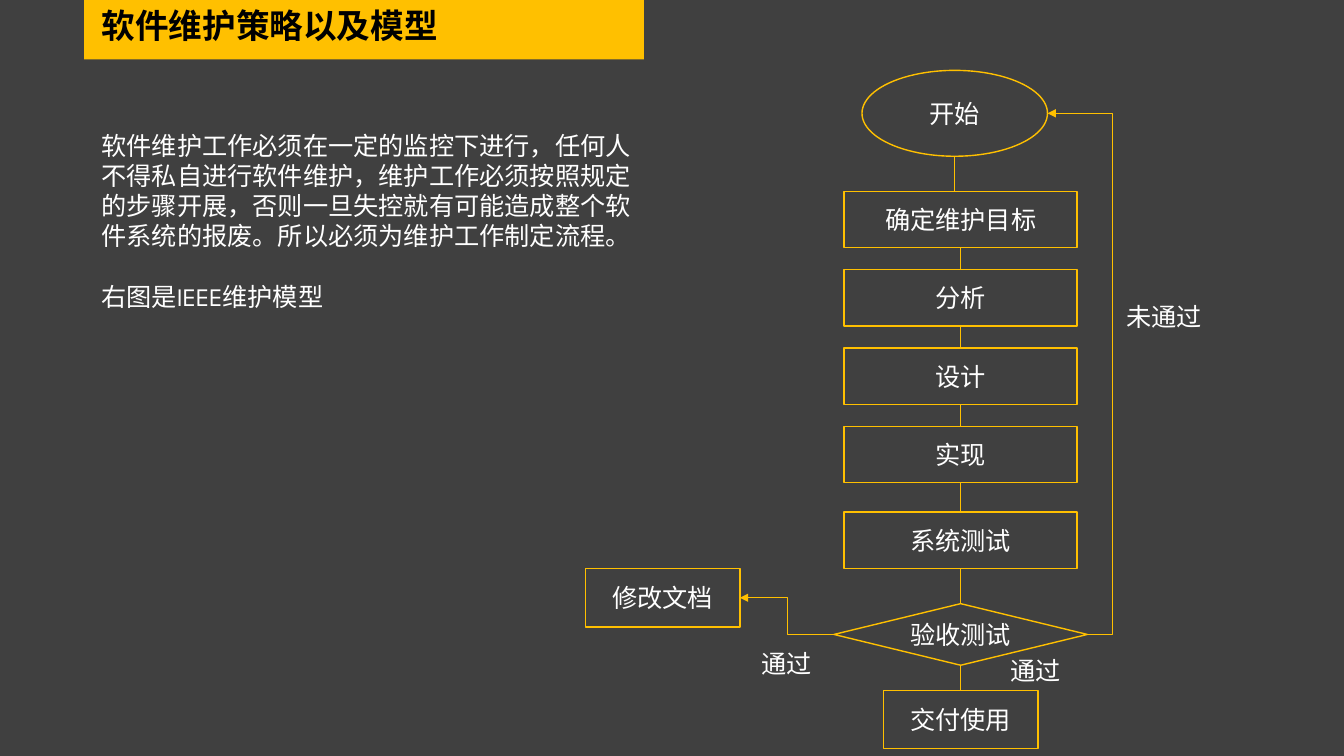
import pptx
import pptx.util
import pptx.dml.color
import pptx.enum.shapes
import pptx.enum.text
import pptx.oxml

Pt = pptx.util.Pt
Kind = pptx.enum.shapes.MSO_SHAPE
Link = pptx.enum.shapes.MSO_CONNECTOR
NS = 'xmlns:a="http://schemas.openxmlformats.org/drawingml/2006/main"'


def color(code):
    return pptx.dml.color.RGBColor.from_string(code)


class Deck:
    face = "League Spartan"
    gold = "FFC000"
    white = "FFFFFF"
    dark = "404040"
    black = "000000"

    def __init__(self, slide):
        self.slide = slide
        slide.background.fill.solid()
        slide.background.fill.fore_color.rgb = color(self.dark)

    def style(self, para, size=18, tint=None, bold=False):
        para.font.name = self.face
        para.font.size = Pt(size)
        para.font.bold = bold
        para.font.color.rgb = color(tint or self.white)

    def band(self, left, top, width, height):
        band = self.slide.shapes.add_shape(
            Kind.RECTANGLE, Pt(left), Pt(top), Pt(width), Pt(height))
        band.shadow.inherit = False
        band.fill.solid()
        band.fill.fore_color.rgb = color(self.gold)
        band.line.fill.background()

    def text(self, left, top, width, height, lines, gap=0, **look):
        box = self.slide.shapes.add_textbox(
            Pt(left), Pt(top), Pt(width), Pt(height))
        frame = box.text_frame
        frame.word_wrap = True
        frame.text = "\n".join(lines)
        for para in frame.paragraphs:
            self.style(para, **look)
        for para in frame.paragraphs[1:]:
            para.space_before = Pt(gap)
        return frame

    def node(self, kind, mid, top, width, height, label):
        node = self.slide.shapes.add_shape(
            kind, Pt(mid - width / 2), Pt(top), Pt(width), Pt(height))
        node.shadow.inherit = False
        node.fill.background()
        node.line.color.rgb = color(self.gold)
        node.line.width = Pt(1)
        frame = node.text_frame
        frame.text = label
        frame.vertical_anchor = pptx.enum.text.MSO_ANCHOR.MIDDLE
        para = frame.paragraphs[0]
        para.alignment = pptx.enum.text.PP_ALIGN.CENTER
        self.style(para)

    def line(self, start, end, kind=Link.STRAIGHT):
        line = self.slide.shapes.add_connector(
            kind, *(Pt(value) for value in (*start, *end)))
        line.line.color.rgb = color(self.gold)
        line.line.width = Pt(0.5)
        props = line._element.spPr
        props.append(pptx.oxml.parse_xml(f"<a:effectLst {NS}/>"))
        return props

    def bend(self, start, end, turn=0.5):
        props = self.line(start, end, Link.ELBOW)
        props.ln.append(pptx.oxml.parse_xml(
            f'<a:tailEnd {NS} type="triangle"/>'))
        geom = props.prstGeom
        for old in geom.findall(pptx.oxml.ns.qn("a:avLst")):
            geom.remove(old)
        geom.append(pptx.oxml.parse_xml(
            f'<a:avLst {NS}><a:gd name="adj1" '
            f'fmla="val {round(turn * 100000)}"/></a:avLst>'))


def main():
    show = pptx.Presentation()
    show.slide_width, show.slide_height = Pt(960), Pt(540)
    deck = Deck(show.slides.add_slide(show.slide_layouts[6]))

    deck.band(60, 0, 400, 42.5)
    title = deck.text(65.5, 2.9, 270, 36, ["软件维护策略以及模型"],
                      size=24, tint=deck.black, bold=True)
    title.paragraphs[0].line_spacing = 0.9
    deck.text(65.5, 89.3, 404, 138, [
        "软件维护工作必须在一定的监控下进行，任何人不得私自进行软件维护，"
        "维护工作必须按照规定的步骤开展，否则一旦失控就有可能造成整个软件"
        "系统的报废。所以必须为维护工作制定流程。",
        "右图是IEEE维护模型"], gap=21.6)

    mid, first = 686.2, 682
    tall = 40.2
    tops = [136.6 + 56 * step for step in range(4)] + [365.8]
    names = ["确定维护目标", "分析", "设计", "实现", "系统测试"]
    deck.node(Kind.OVAL, first, 50.3, 132.5, 61.3, "开始")
    for top, name in zip(tops, names):
        deck.node(Kind.RECTANGLE, mid, top, 166.4, tall, name)
    deck.node(Kind.DIAMOND, mid, 431.2, 181, 44, "验收测试")
    deck.node(Kind.RECTANGLE, 473.3, 406.2, 110.4, 41.6, "修改文档")
    deck.node(Kind.RECTANGLE, mid, 493.1, 110.4, 41.6, "交付使用")

    deck.line((first, 111.6), (first, tops[0]))
    ends = [top + tall for top in tops] + [475.2]
    for end, top in zip(ends, tops[1:] + [431.2, 493.1]):
        deck.line((mid, end), (mid, top))
    deck.bend((mid - 90.5, 453.2), (528.5, 427))
    deck.bend((mid + 90.5, 453.2), (748.3, 81), turn=-0.63)

    deck.text(537, 459.5, 66, 29, ["通过"])
    deck.text(797.6, 211.7, 93, 29, ["未通过"])
    deck.text(714.8, 464.2, 66, 29, ["通过"])
    show.save("out.pptx")


if __name__ == "__main__":
    main()
